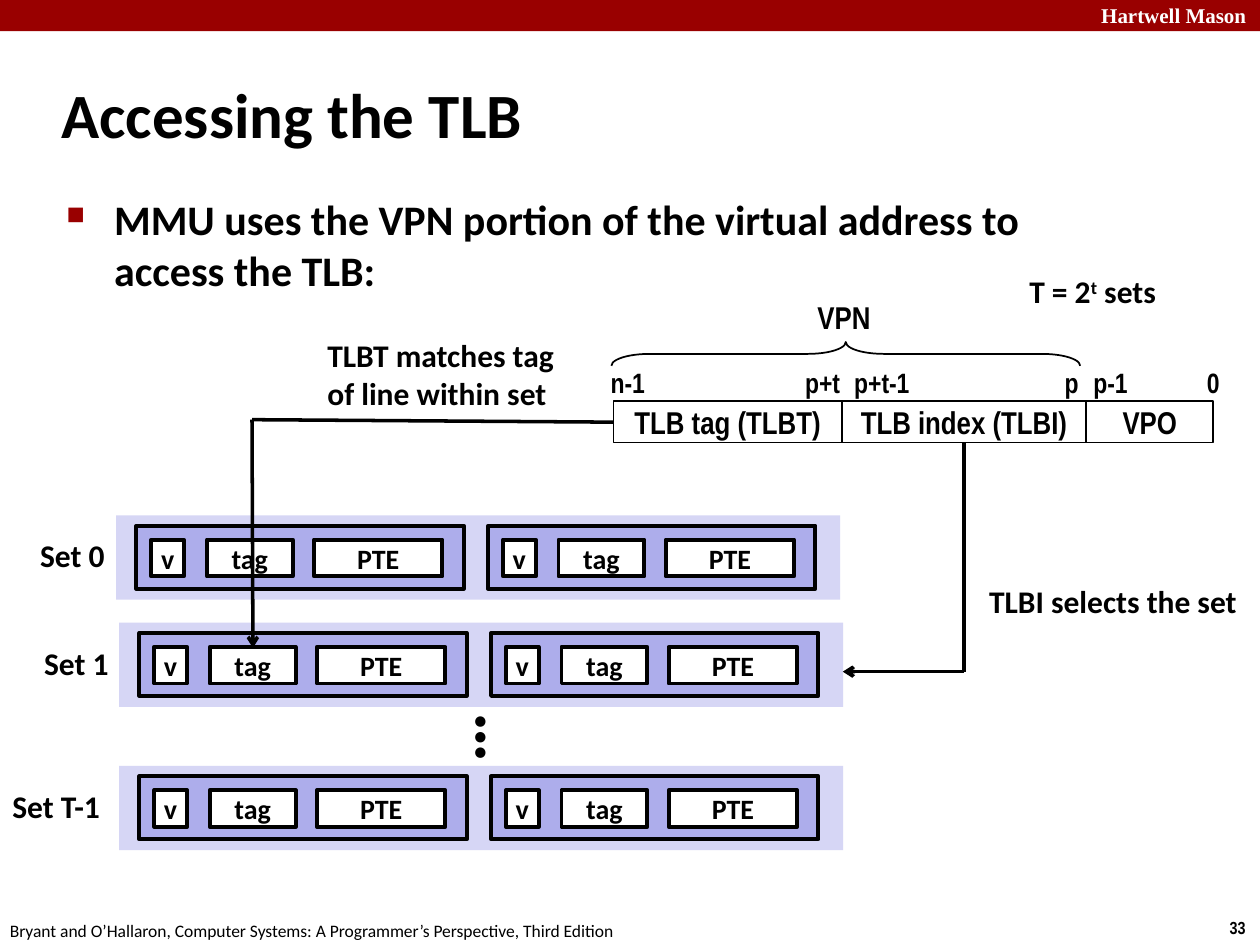
from dataclasses import dataclass

from lxml import etree
from pptx import Presentation
from pptx import util as u
from pptx.dml.color import RGBColor
from pptx.enum import shapes, text
from pptx.oxml import ns


@dataclass(frozen=True)
class Theme:
    ink: str = "000000"
    paper: str = "FFFFFF"
    accent: str = "990000"
    set_fill: str = "D6D6F5"
    line_fill: str = "ADADEB"
    body_font: str = "Calibri"
    address_font: str = "Arial Narrow"
    header_font: str = "Times New Roman"
    title: int = 36
    bullet: int = 24
    label: int = 18
    small: int = 16
    header: int = 12
    footer: int = 10
    dots: int = 40
    thin: float = 1
    arrow: float = 2
    heavy: float = 2.25


class Board:
    def __init__(self, slide, theme):
        self.slide, self.theme = slide, theme

    def _write(self, shape, words, size, font, color, bold=True):
        p = shape.text_frame.paragraphs[0]
        p.font.size, p.font.bold = u.Pt(size), bold
        p.font.name = font or self.theme.body_font
        p.font.color.rgb = RGBColor.from_string(color or self.theme.ink)
        for word in [words] if isinstance(words, str) else words:
            p.add_run().text = word
        return p

    def label(self, words, x, y, w, h, size, font=None, color=None, bold=True,
              wrap=False, middle=False, grow=True):
        box = self.slide.shapes.add_textbox(u.Cm(x), u.Cm(y), u.Cm(w), u.Cm(h))
        frame = box.text_frame
        frame.word_wrap = wrap
        if grow:
            frame.auto_size = text.MSO_AUTO_SIZE.SHAPE_TO_FIT_TEXT
        if middle:
            frame.vertical_anchor = text.MSO_ANCHOR.MIDDLE
        self._write(box, words, size, font, color, bold)
        return box

    def shape(self, x, y, w, h, fill=None, line=None, kind=shapes.MSO_SHAPE.RECTANGLE):
        item = self.slide.shapes.add_shape(kind, u.Cm(x), u.Cm(y), u.Cm(w), u.Cm(h))
        item.shadow.inherit = False
        if fill:
            item.fill.solid()
            item.fill.fore_color.rgb = RGBColor.from_string(fill)
        else:
            item.fill.background()
        if line:
            item.line.color.rgb = RGBColor.from_string(self.theme.ink)
            item.line.width = u.Pt(line)
        else:
            item.line.fill.background()
        return item

    def field(self, words, x, y, w, h, line, size, font=None):
        item = self.shape(x, y, w, h, self.theme.paper, line)
        item.text_frame.word_wrap = False
        item.text_frame.vertical_anchor = text.MSO_ANCHOR.MIDDLE
        p = self._write(item, words, size, font, None)
        p.alignment = text.PP_ALIGN.CENTER

    def route(self, *points):
        """Joins the points with lines; the last line has an arrowhead."""
        for start, end in zip(points, points[1:]):
            link = self.slide.shapes.add_connector(
                shapes.MSO_CONNECTOR.STRAIGHT, *map(u.Cm, start + end))
            link.line.color.rgb = RGBColor.from_string(self.theme.ink)
            link.line.width = u.Pt(self.theme.arrow)
            if end == points[-1]:
                etree.SubElement(link.line._get_or_add_ln(), ns.qn("a:tailEnd"), type="arrow")
            etree.SubElement(link._element.spPr, ns.qn("a:effectLst"))

    def indent(self, box, margin, bullet=None):
        pPr = box.text_frame.paragraphs[0]._p.get_or_add_pPr()
        pPr.set("marL", str(u.Cm(margin)))
        pPr.set("indent", str(-u.Cm(margin)))
        if bullet:
            color = etree.Element(ns.qn("a:buClr"))
            etree.SubElement(color, ns.qn("a:srgbClr"), val=self.theme.accent)
            size = etree.Element(ns.qn("a:buSzPct"), val="60000")
            char = etree.Element(ns.qn("a:buChar"), char=bullet)
            default_run = pPr.find(ns.qn("a:defRPr"))
            for part in (color, size, char):
                default_run.addprevious(part)


theme = Theme()
deck = Presentation()
deck.slide_width, deck.slide_height = u.Cm(25.4), u.Cm(19.05)
board = Board(deck.slides.add_slide(deck.slide_layouts[6]), theme)

# Header and footer
board.shape(0, 0, 25.4, 0.63, theme.accent)
board.label("Hartwell Mason", 21.95, -0.08, 3.63, 0.76, theme.header,
            theme.header_font, theme.paper, wrap=True)
board.label("33", 24.54, 18.36, 0.86, 0.69, theme.footer, theme.address_font)
board.label("Bryant and O’Hallaron, Computer Systems: A Programmer’s Perspective, Third Edition",
            -0.05, 18.42, 12.9, 0.69, theme.footer, bold=False)

# Title and statement
title = board.label("Accessing the TLB", 0.99, 1.22, 21.08, 2.11, theme.title,
                    wrap=True, middle=True, grow=False)
board.indent(title, 0.33)
statement = board.label("MMU uses the VPN portion of the virtual address to access the TLB:",
                        1.09, 3.78, 21.95, 2.36, theme.bullet, wrap=True, grow=False)
statement.text_frame.paragraphs[0].space_before = u.Pt(5)
board.indent(statement, 0.96, "■")

# Virtual address: adjoining fields, bit numbers, VPN brace
address_x, address_y, address_h = 12.37, 8.08, 0.84
field_x = address_x
for name, width in (("TLB tag (TLBT)", 4.6), ("TLB index (TLBI)", 4.93), ("VPO", 2.56)):
    board.field(name, field_x, address_y, width, address_h, theme.thin,
                theme.label, theme.address_font)
    field_x += width
for bit, x, width in (("n-1", 12.06, 1.22), ("p+t", 15.98, 1.22), ("p+t-1", 16.97, 1.65),
                      ("p", 21.21, 0.79), ("p-1", 21.79, 1.22), ("0", 24.08, 0.76)):
    board.label(bit, x, 7.24, width, 0.94, theme.small, theme.address_font, middle=True)
brace = board.shape(16.81, 2.41, 0.48, 9.45, line=theme.thin, kind=shapes.MSO_SHAPE.LEFT_BRACE)
brace.rotation = 90
brace.adjustments[0], brace.adjustments[1] = 1.6, 0.5
board.label("VPN", 16.23, 5.87, 1.6, 1.02, theme.label, theme.address_font, middle=True)

# TLB sets, each with two lines of three fields
line_fields = (("v", 0.3, 0.66), ("tag", 1.42, 1.73), ("PTE", 3.58, 2.59))
for name, name_x, name_w, set_x, set_y in (("Set 0", 0.56, 1.83, 2.34, 10.39),
                                           ("Set 1", 0.64, 1.83, 2.4, 12.55),
                                           ("Set T-1", 0, 2.34, 2.4, 15.44)):
    board.label(name, name_x, set_y + 0.3, name_w, 1.02, theme.label)
    board.shape(set_x, set_y, 14.6, 1.7, theme.set_fill)
    for way in range(2):
        line_x, line_y = set_x + 0.41 + way * 7.09, set_y + 0.21
        board.shape(line_x, line_y, 6.6, 1.27, theme.line_fill, theme.heavy)
        for part, offset, width in line_fields:
            board.field(part, line_x + offset, line_y + 0.28, width, 0.74,
                        theme.heavy, theme.small)
dots = board.label("…", 8.48, 13.87, 1.52, 1.96, theme.dots)
dots.rotation = 270

# Number of sets
count = board.label(("T = 2", "t", " sets"), 20.5, 5.36, 3.18, 1.02, theme.label, wrap=True)
count.text_frame.paragraphs[0].runs[1].font._element.set("baseline", "30000")

# Index selects the set, tag selects the line
board.route((19.43, 8.92), (19.43, 13.54), (16.99, 13.54))
board.label("TLBI selects the set", 19.69, 11.61, 5.56, 1.02, theme.label)
board.route((12.37, 8.51), (5.08, 8.46), (5.1, 13.06))
board.label("TLBT matches tag of line within set", 6.35, 6.65, 5.72, 1.8, theme.label, wrap=True)

deck.save("out.pptx")
